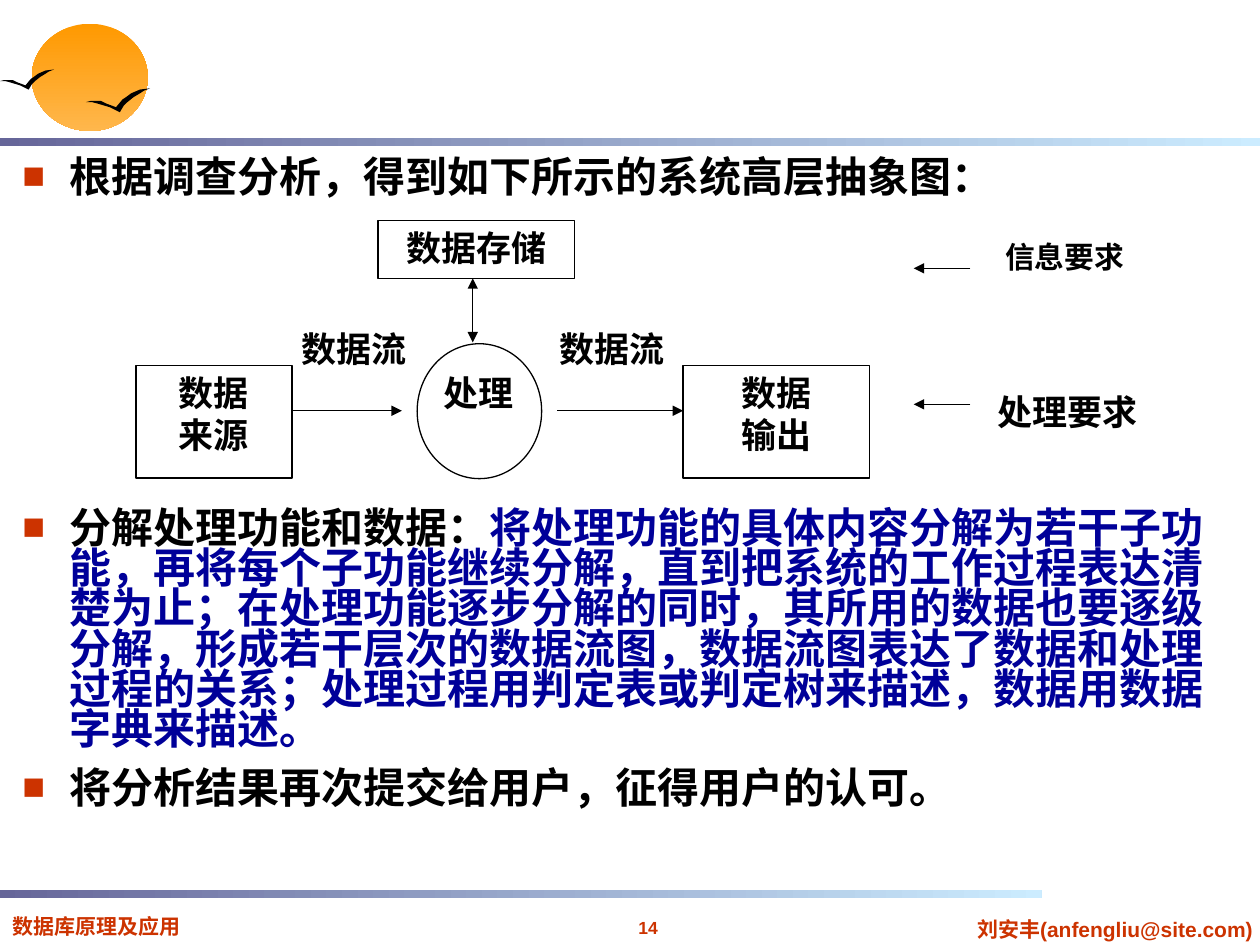
from lxml import etree
from pptx import Presentation
from pptx.dml.color import RGBColor
from pptx.enum.shapes import MSO_CONNECTOR, MSO_SHAPE
from pptx.enum.text import MSO_ANCHOR, PP_ALIGN
from pptx.oxml.ns import qn
from pptx.util import Cm, Pt

OVAL, RECTANGLE = MSO_SHAPE.OVAL, MSO_SHAPE.RECTANGLE
STRAIGHT = MSO_CONNECTOR.STRAIGHT
TOP = MSO_ANCHOR.TOP
LEFT, CENTER = PP_ALIGN.LEFT, PP_ALIGN.CENTER
BLACK, RED, BLUE = "000000", "CC3300", "000099"


def color(value):
    return RGBColor.from_string(value)


def write(paragraph, text, size=20, font="Times New Roman", fill=BLACK, align=CENTER):
    """Append one bold run to the paragraph."""
    paragraph.alignment = align
    run = paragraph.add_run()
    run.text = text
    run.font.size = Pt(size)
    run.font.name = font
    run.font.bold = True
    run.font.color.rgb = color(fill)


presentation = Presentation()
presentation.slide_width, presentation.slide_height = Cm(25.4), Cm(19.05)
slide = presentation.slides.add_slide(presentation.slide_layouts[6])
shapes = slide.shapes

# Sun and the two rules: kind, box, gradient colours, angle
decorations = [
    (OVAL, (0.64, 0.48, 2.34, 2.16), ("FF9900", "FFB74C"), 270),
    (RECTANGLE, (0, 2.79, 25.4, 0.16), ("666699", "CCECFF"), 0),
    (RECTANGLE, (0, 17.95, 21, 0.16), ("666699", "CCECFF"), 0),
]
for kind, box, stops, angle in decorations:
    shape = shapes.add_shape(kind, *map(Cm, box))
    shape.shadow.inherit = False
    shape.line.fill.background()
    shape.fill.gradient()
    shape.fill.gradient_angle = angle
    for stop, value in zip(shape.fill.gradient_stops, stops):
        stop.color.rgb = color(value)

# Birds share one outline
bird_outline = [
    (4, 10), (8, 10), (12, 10), (16, 12), (24, 15), (29, 9), (32, 7), (36, 4),
    (43, 1), (51, 0), (46, 2), (43, 4), (38, 7), (33, 11), (30, 14), (27, 19),
    (25, 18), (19, 15), (9, 12), (5, 11), (0, 11),
]
for left, top, unit in [(0, 1.4, 0.0214), (1.73, 1.78, 0.0254)]:
    builder = shapes.build_freeform(0, 11, scale=Cm(unit))
    builder.add_line_segments(bird_outline, close=True)
    bird = builder.convert_to_shape(Cm(left), Cm(top))
    bird.shadow.inherit = False
    bird.fill.solid()
    bird.fill.fore_color.rgb = color(BLACK)
    bird.line.fill.background()

# Footer: text, box, size, alignment, wrap
footers = [
    ("刘安丰(anfengliu@site.com)", (19.28, 18.36, 6.4, 0.76), 12, CENTER, False),
    ("14", (11.96, 18.36, 2.21, 0.69), 10, CENTER, False),
    ("数据库原理及应用", (0, 18.29, 5.08, 0.76), 12, LEFT, True),
]
for text, box, size, align, wrap in footers:
    frame = shapes.add_textbox(*map(Cm, box)).text_frame
    frame.word_wrap = wrap
    write(frame.paragraphs[0], text, size=size, font="Arial", fill=RED, align=align)

# Bulleted body: space before, runs; the wide gap leaves room for the diagram
bullets = [
    (0, [("根据调查分析，得到如下所示的系统高层抽象图：", BLACK)]),
    (177.5, [
        ("分解处理功能和数据：", BLACK),
        ("将处理功能的具体内容分解为若干子功能，再将每个子功能继续分解，"
         "直到把系统的工作过程表达清楚为止；在处理功能逐步分解的同时，"
         "其所用的数据也要逐级分解，形成若干层次的数据流图，"
         "数据流图表达了数据和处理过程的关系；处理过程用判定表或判定树来描述，"
         "数据用数据字典来描述。", BLUE),
    ]),
    (10.5, [("将分析结果再次提交给用户，征得用户的认可。", BLACK)]),
]
body = shapes.add_textbox(Cm(0.2), Cm(3.1), Cm(24.77), Cm(14.4)).text_frame
body.word_wrap = True
for index, (gap, runs) in enumerate(bullets):
    paragraph = body.add_paragraph() if index else body.paragraphs[0]
    properties = paragraph._p.get_or_add_pPr()
    properties.set("marL", str(Cm(0.96)))
    properties.set("indent", str(-Cm(0.96)))
    bullet_color = etree.SubElement(properties, qn("a:buClr"))
    etree.SubElement(bullet_color, qn("a:srgbClr"), val=RED)
    etree.SubElement(properties, qn("a:buSzPct"), val="90000")
    etree.SubElement(properties, qn("a:buFont"), typeface="Arial")
    etree.SubElement(properties, qn("a:buChar"), char="■")
    paragraph.line_spacing = 0.8
    paragraph.space_before = Pt(gap)
    for text, fill in runs:
        write(paragraph, text, size=24, font="Arial", fill=fill, align=LEFT)

# Diagram nodes and labels: outline kind (None for a plain label), lines, box, size
nodes = [
    (None, ["数据流"], (10.92, 6.48, 2.82, 1.8), 20),
    (None, ["数据流"], (5.89, 6.48, 2.51, 1.8), 20),
    (OVAL, [], (8.41, 6.93, 2.51, 2.72), 20),
    (RECTANGLE, ["数据存储"], (7.62, 4.45, 3.96, 1.16), 20),
    (None, ["信息要求"], (19.89, 4.78, 3.15, 1.07), 17),
    (RECTANGLE, ["数据", "来源"], (2.74, 7.37, 3.15, 2.27), 20),
    (None, ["处理"], (8.71, 7.37, 1.88, 1.35), 20),
    (RECTANGLE, ["数据", "输出"], (13.77, 7.37, 3.76, 2.27), 20),
    (None, ["处理要求"], (19.94, 7.75, 3.15, 1.45), 20),
]
for kind, lines, box, size in nodes:
    if kind is None:
        shape = shapes.add_textbox(*map(Cm, box))
    else:
        shape = shapes.add_shape(kind, *map(Cm, box))
        shape.shadow.inherit = False
        shape.fill.background()
        shape.line.color.rgb = color(BLACK)
        shape.line.width = Pt(0.75)
    frame = shape.text_frame
    frame.word_wrap = True
    frame.vertical_anchor = TOP
    frame.margin_left = frame.margin_right = 0
    for index, text in enumerate(lines):
        paragraph = frame.add_paragraph() if index else frame.paragraphs[0]
        write(paragraph, text, size=size)
        if size == 17:
            paragraph.line_spacing = 0.9

# Arrows: start, end, arrowheads
arrows = [
    ((5.89, 8.28), (8.1, 8.28), ["tailEnd"]),
    ((11.23, 8.28), (13.77, 8.28), ["tailEnd"]),
    ((9.53, 5.61), (9.53, 6.9), ["headEnd", "tailEnd"]),
    ((19.56, 5.41), (18.42, 5.41), ["tailEnd"]),
    ((19.56, 8.15), (18.42, 8.15), ["tailEnd"]),
]
for start, end, heads in arrows:
    arrow = shapes.add_connector(STRAIGHT, *map(Cm, start + end))
    arrow.line.color.rgb = color(BLACK)
    arrow.line.width = Pt(0.75)
    for head in heads:
        etree.SubElement(arrow.line._get_or_add_ln(), qn(f"a:{head}"), type="triangle")
    etree.SubElement(arrow._element.spPr, qn("a:effectLst"))

presentation.save("out.pptx")
